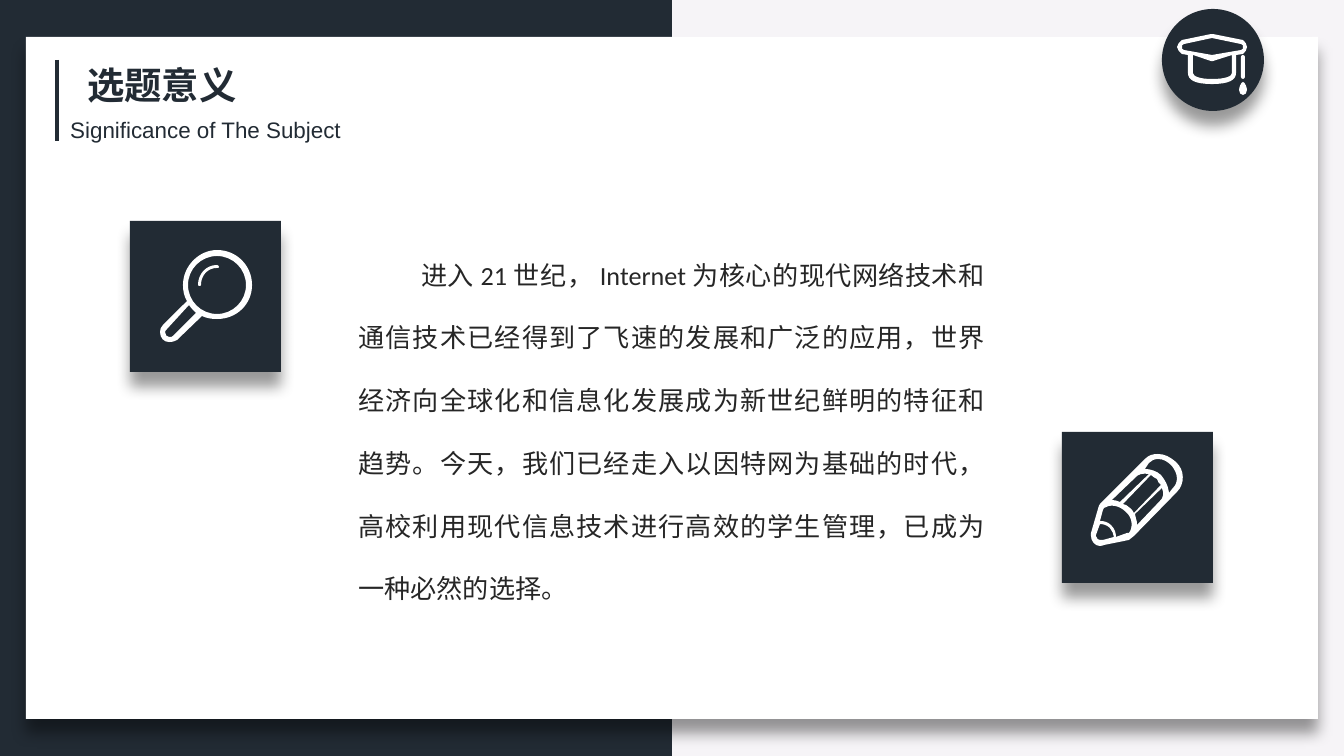
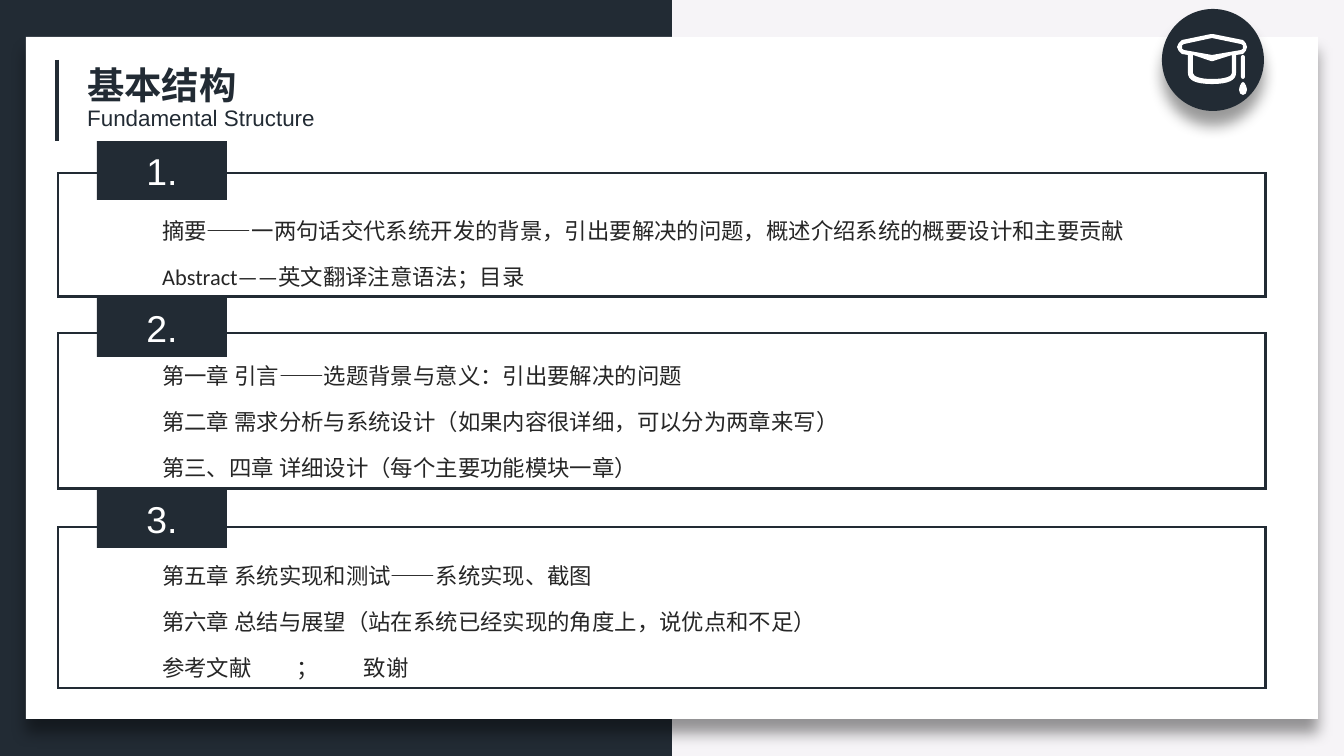
from dataclasses import dataclass, field
from typing import Any, NamedTuple

from lxml import etree
from pptx import Presentation
from pptx import util as u
from pptx.dml import color
from pptx.enum import shapes, text
from pptx.oxml import ns

WIDE, HIGH = 1344, 756
SCALE = u.Inches(10) / WIDE
NAVY, WHITE, PALE, INK = "222B34", "FFFFFF", "F6F4F7", "262626"
HAN = "Noto Sans CJK SC"
RECT, OVAL = shapes.MSO_SHAPE.RECTANGLE, shapes.MSO_SHAPE.OVAL
ALIGN = text.PP_ALIGN


class Box(NamedTuple):
    x: int
    y: int
    w: int
    h: int


@dataclass(frozen=True)
class Look:
    face: str
    size: int
    hue: str
    bold: bool = False
    left: int = 0
    first: int = 0
    para: dict[str, Any] = field(default_factory=dict)


class Head(NamedTuple):
    title: str
    sub: str
    spot: Box


class Part(NamedTuple):
    tag: int
    frame: Box
    body: Box
    lines: list[str]


class Icon(NamedTuple):
    x: int
    y: int
    forms: list[list[str]]


TITLE = Look(HAN, 20, NAVY, bold=True, left=18, para={"alignment": ALIGN.JUSTIFY})
SUB = Look("Arial", 12, NAVY)
TAG = Look("Arial", 20, WHITE, para={"alignment": ALIGN.CENTER})
ESSAY = Look("Calibri", 14, INK, first=63, para={
    "alignment": ALIGN.JUSTIFY, "line_spacing": 2.0, "space_before": u.Pt(6)})
LIST = Look("Calibri", 12, INK, para={"line_spacing": 1.3, "space_before": u.Pt(6)})

# Each outline is a comma list: two numbers make a line, six make a curve.
CAP = Icon(1177, 34, [
    ["35 21, 7 16, 5 15 5 15 5 13, 5 11 5 11 7 10, 35 4, 64 10,"
     "66 11 66 11 66 13, 66 15 66 15 64 16",
     "55 39, 55 42 49 45 35 45, 22 45 16 42 16 39, 16 21, 34 27, 36 27, 55 21",
     "70 13, 70 10 68 8 66 6, 36 0, 34 0, 5 6, 3 8 0 10 0 13, 0 16 3 18 5 20,"
     "11 21, 11 39, 11 46 18 50 35 50, 52 50 59 46 59 39, 59 21, 66 20,"
     "68 18 70 16 70 13"],
    ["64 23, 64 43, 64 44 65 45 66 45, 67 45 68 44 68 43, 68 23,"
     "68 22 67 21 66 21, 65 21 64 22 64 23"],
    ["66 48, 64 48 62 54 62 56, 62 59 64 61 66 61, 68 61 70 59 70 56,"
     "70 54 68 48 66 48"],
])
LENS = Icon(160, 250, [
    ["57 64, 41 64 28 51 28 35, 28 19 41 6 57 6, 73 6 86 19 86 35,"
     "86 51 73 64 57 64",
     "13 86, 12 87 11 87 9 87, 7 87 5 85 5 82, 5 81 6 80 7 79, 29 55,"
     "31 58 34 61 36 63",
     "57 0, 39 0 23 16 23 35, 23 41 24 46 27 51, 3 75, 1 77 0 79 0 82,"
     "0 88 4 92 9 92, 13 92 15 91 17 90, 42 66, 46 68 51 69 57 69,"
     "77 69 92 54 92 35, 92 16 77 0 57 0"],
    ["57 15, 46 15 38 24 38 35, 38 36 38 36 39 36, 40 36 41 36 41 35,"
     "41 25 48 18 57 18, 58 18 59 18 59 17, 59 16 58 15 57 15"],
])
PENCIL = Icon(1091, 454, [
    ["82 34, 78 39, 78 38, 77 31 74 26 70 21, 66 17 59 15 54 15, 58 9,"
     "60 7 63 5 67 5, 73 5 77 8 81 12, 83 15 86 19 86 24, 86 28 85 31 82 34",
     "25 83, 25 79 24 75 20 71, 17 68 13 67 9 67, 12 56, 12 55 13 55 13 54,"
     "19 50 28 51 35 58, 42 64 42 74 38 79, 36 79",
     "12 86, 9 86, 8 86 5 85 5 82, 5 81, 9 70, 12 70 16 71 19 74,"
     "21 77 23 80 23 83",
     "29 48, 27 47 24 46 21 46, 44 24, 47 20 52 19 58 20",
     "43 59, 42 56 40 55 39 54, 36 52 35 50 32 50, 60 21, 62 23 64 24 66 25,"
     "67 27 68 30 70 31",
     "46 68, 46 66 44 63 44 60, 71 34, 73 39 73 44 68 48, 46 71",
     "85 8, 79 3 74 0 67 0, 62 0 58 1 54 5, 9 50, 8 51 8 52 7 55, 0 79, 0 82,"
     "0 87 4 92 9 92, 11 92 13 91 13 91, 38 86, 39 85 42 83 43 82, 86 38,"
     "94 30 94 16 85 8"],
])

PARTS = [
    Part(141, Box(58, 173, 1208, 124), Box(149, 202, 1117, 95), [
        "摘要——一两句话交代系统开发的背景，引出要解决的问题，概述介绍系统的概要设计和主要贡献",
        "Abstract——英文翻译注意语法；目录"]),
    Part(298, Box(58, 333, 1208, 156), Box(149, 347, 930, 141), [
        "第一章 引言——选题背景与意义：引出要解决的问题",
        "第二章 需求分析与系统设计（如果内容很详细，可以分为两章来写）",
        "第三、四章 详细设计（每个主要功能模块一章）"]),
    Part(489, Box(58, 527, 1208, 161), Box(149, 547, 930, 141), [
        "第五章 系统实现和测试——系统实现、截图",
        "第六章 总结与展望（站在系统已经实现的角度上，说优点和不足）",
        "参考文献\t；\t致谢"]),
]
THEME = (
    "进入 21 世纪， Internet 为核心的现代网络技术和通信技术已经得到了飞速的发展和广泛的应用，"
    "世界经济向全球化和信息化发展成为新世纪鲜明的特征和趋势。今天，我们已经走入以因特网为基础的时代，"
    " 高校利用现代信息技术进行高效的学生管理，已成为一种必然的选择。")


def px(n: float) -> int:
    return u.Emu(round(n * SCALE))


def rgb(code: str) -> color.RGBColor:
    return color.RGBColor.from_string(code)


def paint(fill: Any, hue: str) -> None:
    fill.solid()
    fill.fore_color.rgb = rgb(hue)


def shade(item: Any) -> None:
    """Drop a soft black shadow straight down."""
    glow = item._element.spPr.find(ns.qn("a:effectLst"))
    drop = etree.SubElement(glow, ns.qn("a:outerShdw"), blurRad=str(u.Pt(8)),
                            dist=str(u.Pt(8)), dir="5400000", algn="t",
                            rotWithShape="0")
    tint = etree.SubElement(drop, ns.qn("a:srgbClr"), val="000000")
    etree.SubElement(tint, ns.qn("a:alpha"), val="40000")


def block(host: Any, box: Box, fill: str = "", line: str = "",
          kind: Any = RECT, drop: bool = False) -> Any:
    item = host.add_shape(kind, *map(px, box))
    item.shadow.inherit = False
    if fill:
        paint(item.fill, fill)
    else:
        item.fill.background()
    if line:
        paint(item.line.fill, line)
        item.line.width = u.Pt(1.5)
        edge = item._element.spPr.find(ns.qn("a:ln"))
        etree.SubElement(edge, ns.qn("a:miter"), lim="800000")
    else:
        item.line.fill.background()
    if drop:
        shade(item)
    return item


def write(frame: Any, lines: list[str], look: Look) -> None:
    for i, words in enumerate(lines):
        para = frame.add_paragraph() if i else frame.paragraphs[0]
        for name, value in look.para.items():
            setattr(para, name, value)
        for name, gap in {"marL": look.left, "indent": look.first}.items():
            if gap:
                para._p.get_or_add_pPr().set(name, str(px(gap)))
        run = para.add_run()
        run.text = words
        form = {"name": look.face, "size": u.Pt(look.size), "bold": look.bold}
        for name, value in form.items():
            setattr(run.font, name, value)
        run.font.color.rgb = rgb(look.hue)
        etree.SubElement(run.font._element, ns.qn("a:ea"), typeface=HAN)


def label(host: Any, box: Box, lines: list[str], look: Look) -> None:
    frame = host.add_textbox(*map(px, box)).text_frame
    frame.word_wrap = True
    frame.auto_size = text.MSO_AUTO_SIZE.SHAPE_TO_FIT_TEXT
    write(frame, lines, look)


def trace(line: str) -> list[list[tuple[int, int]]]:
    """Split one outline into parts of one point (line) or three (curve)."""
    parts = []
    for part in line.split(","):
        nums = [px(int(n)) for n in part.split()]
        parts.append(list(zip(nums[::2], nums[1::2])))
    return parts


def bend(item: Any, parts: list[list[tuple[int, int]]]) -> None:
    """Merge the three line steps of each curve into one Bezier step."""
    steps = iter(list(item._element.iter(ns.qn("a:lnTo"))))
    for part in parts:
        step = next(steps)
        if len(part) == 3:
            step.tag = ns.qn("a:cubicBezTo")
            for _ in range(2):
                extra = next(steps)
                step.append(extra[0])
                extra.getparent().remove(extra)


def draw(host: Any, icon: Icon) -> None:
    for form in icon.forms:
        loops = [trace(line) for line in form]
        pen = host.build_freeform(*loops[0][0][0], scale=1.0)
        for i, loop in enumerate(loops):
            if i:
                pen.move_to(*loop[0][0])
            pen.add_line_segments([dot for part in loop[1:] for dot in part])
        item = pen.convert_to_shape(px(icon.x), px(icon.y))
        bend(item, [part for loop in loops for part in loop[1:]])
        item.shadow.inherit = False
        paint(item.fill, WHITE)
        item.line.fill.background()


def base(deck: Any) -> Any:
    """Give the blank layout the card, bar and badge that all slides share."""
    layout = deck.slide_layouts[6]
    for item in list(layout.placeholders):
        item._element.getparent().remove(item._element)
    paint(deck.slide_master.background.fill, PALE)
    slide = deck.slides.add_slide(layout)
    host = slide.shapes
    block(host, Box(0, 0, WIDE // 2, HIGH), NAVY)
    block(host, Box(26, 37, 1292, 682), WHITE, drop=True)
    bar = host.add_connector(shapes.MSO_CONNECTOR.STRAIGHT,
                             px(57), px(60), px(57), px(141))
    paint(bar.line.fill, NAVY)
    bar.line.width = u.Pt(2.25)
    etree.SubElement(bar._element.spPr, ns.qn("a:effectLst"))
    badge = host.add_group_shape().shapes
    block(badge, Box(1162, 9, 102, 102), NAVY, kind=OVAL, drop=True)
    draw(badge, CAP)
    for item in list(host):
        layout.shapes._spTree.append(item._element)
    return slide


def title(host: Any, head: Head) -> None:
    label(host, Box(56, 56, 272, 59), [head.title], TITLE)
    label(host, head.spot, [head.sub], SUB)


def topic(host: Any) -> None:
    title(host, Head("选题意义", "Significance of The Subject",
                     Box(57, 110, 302, 40)))
    block(host, Box(130, 221, 151, 151), NAVY, drop=True)
    label(host, Box(345, 221, 653, 394), [THEME], ESSAY)
    block(host, Box(1062, 432, 151, 151), NAVY, drop=True)
    draw(host, PENCIL)
    draw(host.add_group_shape().shapes, LENS)


def outline(host: Any) -> None:
    title(host, Head("基本结构", "Fundamental Structure",
                     Box(74, 98, 260, 40)))
    for i, part in enumerate(PARTS, 1):
        label(host, part.body, part.lines, LIST)
        block(host, part.frame, line=NAVY)
        tag = block(host, Box(97, part.tag, 130, 59), NAVY)
        tag.text_frame.vertical_anchor = text.MSO_ANCHOR.MIDDLE
        write(tag.text_frame, [f"{i}."], TAG)


def main() -> None:
    deck = Presentation()
    deck.slide_width, deck.slide_height = px(WIDE), px(HIGH)
    slide = base(deck)
    topic(slide.shapes)
    outline(deck.slides.add_slide(slide.slide_layout).shapes)
    deck.save("out.pptx")


if __name__ == "__main__":
    main()
